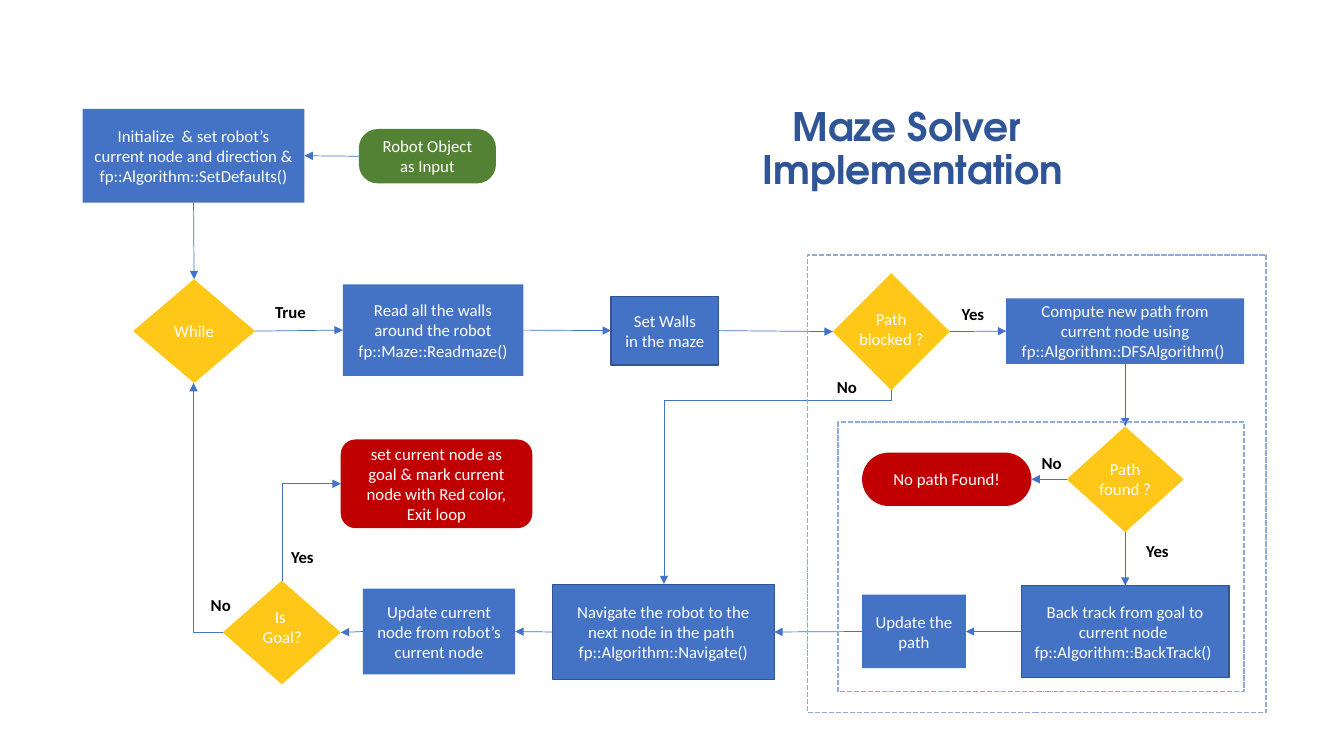
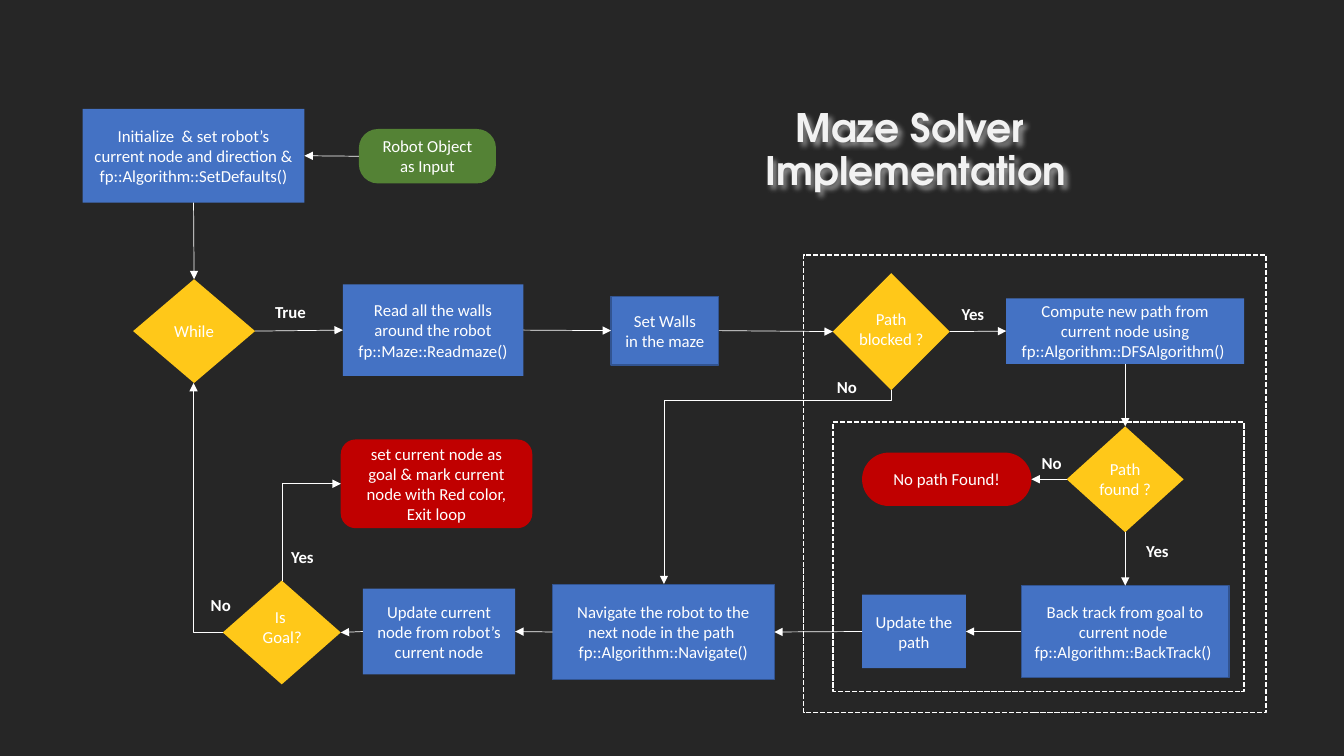
from dataclasses import dataclass
from typing import Any, Optional

from pptx import Presentation
from pptx.dml.color import RGBColor
from pptx.enum.dml import MSO_LINE
from pptx.enum.shapes import MSO_CONNECTOR, MSO_SHAPE
from pptx.enum.text import MSO_ANCHOR, MSO_AUTO_SIZE, PP_ALIGN
from pptx.oxml import parse_xml
from pptx.oxml.ns import nsdecls, qn
from pptx.shapes.autoshape import Shape
from pptx.slide import Slide
from pptx.util import Emu, Pt
from lxml.etree import SubElement

UNIT = 9144
TOP, LEFT, BASE, RIGHT = range(4)
RECT = MSO_SHAPE.RECTANGLE
ROUND = MSO_SHAPE.ROUNDED_RECTANGLE
GEM = MSO_SHAPE.DIAMOND
Box = tuple[int, int, int, int]


@dataclass(frozen=True)
class Theme:
    blue: str = "4472C4"
    navy: str = "325491"
    gold: str = "FFC819"
    green: str = "548235"
    red: str = "C00000"
    white: str = "FFFFFF"
    shade: str = "BFBFBF"
    face: str = "Calibri"
    head: str = "TeX Gyre Adventor"
    body: int = 12
    large: int = 28
    thin: float = 0.5
    edge: float = 1
    dash: float = 1.25


@dataclass(frozen=True)
class Look:
    back: str
    title: str
    arrow: str
    frame: str
    label: str
    spot: tuple[int, int]
    inner: int
    outer: int
    shadow: bool


@dataclass(frozen=True)
class Node:
    name: str
    kind: Any
    box: Box
    fill: str
    lines: tuple[str, ...]
    edge: bool = False
    curve: Optional[float] = None
    inset: Optional[Box] = None


@dataclass(frozen=True)
class Bend:
    preset: str
    box: Box
    turn: int
    flip: bool = False
    bias: Optional[int] = None


@dataclass(frozen=True)
class Link:
    start: str
    out: int
    stop: str
    into: int
    bend: Optional[Bend] = None


@dataclass(frozen=True)
class Label:
    text: str
    left: int
    top: int
    align: Any = PP_ALIGN.CENTER


THEME = Theme()
LOOKS = (
    Look("FFFFFF", "2F5597", THEME.blue, "8FAADC", "000000", (663, 102), 831, 801, False),
    Look("262626", "F2F2F2", THEME.white, THEME.white, THEME.white, (666, 103), 826, 797, True),
)
TITLE = ("Maze Solver ", "Implementation")

NODES = (
    Node("input", ROUND, (356, 128, 136, 54), THEME.green, ("Robot Object as Input",), curve=0.35),
    Node("init", RECT, (82, 108, 220, 93), THEME.blue,
         ("Initialize  & set robot’s current node and direction &", "fp::Algorithm::SetDefaults()")),
    Node("while", GEM, (132, 277, 121, 103), THEME.gold, ("While",)),
    Node("read", RECT, (340, 282, 179, 91), THEME.blue,
         ("Read all the walls around the robot", "fp::Maze::Readmaze()")),
    Node("walls", RECT, (606, 294, 107, 68), THEME.blue, ("Set Walls", "in the maze"), edge=True),
    Node("blocked", GEM, (826, 271, 116, 116), THEME.gold, ("Path blocked ?",), inset=(842, 301, 84, 47)),
    Node("compute", RECT, (998, 296, 236, 65), THEME.blue,
         ("Compute new path from current node using", "fp::Algorithm::DFSAlgorithm() ")),
    Node("move", RECT, (548, 580, 220, 94), THEME.blue,
         ("Navigate the robot to the next node in the path ", "fp::Algorithm::Navigate()"), edge=True),
    Node("back", RECT, (1013, 581, 206, 91), THEME.blue,
         ("Back track from goal to current node ", "fp::Algorithm::BackTrack() "), edge=True),
    Node("path", RECT, (855, 590, 103, 73), THEME.blue, ("Update the path",)),
    Node("none", ROUND, (855, 449, 168, 53), THEME.red, ("No path Found!",), curve=0.5),
    Node("update", RECT, (360, 584, 151, 85), THEME.blue,
         ("Update current node from robot’s current node",)),
    Node("goal", GEM, (221, 576, 117, 103), THEME.gold, ("Is ", "Goal?"), inset=(238, 597, 84, 50)),
    Node("exit", ROUND, (338, 436, 190, 88), THEME.red,
         ("set current node as goal & mark current node with Red color, Exit loop",)),
    Node("found", GEM, (1058, 423, 116, 105), THEME.gold, ("Path found ?",), inset=(1074, 450, 84, 42)),
)

LINKS = (
    Link("input", LEFT, "init", RIGHT),
    Link("init", BASE, "while", TOP),
    Link("while", RIGHT, "read", LEFT),
    Link("read", RIGHT, "walls", LEFT),
    Link("walls", RIGHT, "blocked", LEFT),
    Link("blocked", RIGHT, "compute", LEFT),
    Link("compute", BASE, "found", TOP),
    Link("found", LEFT, "none", RIGHT),
    Link("found", BASE, "back", TOP),
    Link("back", LEFT, "path", RIGHT),
    Link("path", LEFT, "move", RIGHT),
    Link("move", LEFT, "update", RIGHT),
    Link("update", LEFT, "goal", RIGHT),
    Link("goal", LEFT, "while", BASE, Bend("bentConnector2", (192, 380, 29, 247), 180)),
    Link("goal", TOP, "exit", LEFT, Bend("bentConnector2", (261, 499, 96, 58), 90, flip=True)),
    Link("blocked", BASE, "move", TOP, Bend("bentConnector3", (675, 370, 193, 226), 90, bias=5800)),
)

LABELS = (
    Label("True", 263, 294, PP_ALIGN.LEFT),
    Label("Yes", 938, 296),
    Label("Yes", 1121, 532),
    Label("Yes", 273, 537),
    Label("No", 192, 585),
    Label("No", 1016, 444),
    Label("No", 813, 369),
)


def scale(box: tuple[int, ...]) -> list[Emu]:
    return [Emu(n * UNIT) for n in box]


def apply(item: Any, form: dict[str, Any]) -> None:
    for key, value in form.items():
        setattr(item, key, value)


def place(item: Any, box: Box) -> None:
    apply(item, dict(zip(("left", "top", "width", "height"), scale(box))))


def ink(font: Any, tint: str, size: int = THEME.body, face: str = THEME.face, bold: bool = False) -> None:
    apply(font, {"name": face, "size": Pt(size), "bold": bold})
    font.color.rgb = RGBColor.from_string(tint)


def stroke(line: Any, tint: str, width: float) -> None:
    line.color.rgb = RGBColor.from_string(tint)
    line.width = Pt(width)


def write(shape: Shape, lines: tuple[str, ...], tint: str, align: Any = PP_ALIGN.CENTER,
          bold: bool = False, **form: Any) -> None:
    frame = shape.text_frame
    apply(frame, {"word_wrap": True, **form})
    for i, text in enumerate(lines):
        para = frame.paragraphs[0] if i == 0 else frame.add_paragraph()
        para.alignment = align
        run = para.add_run()
        run.text = text
        ink(run.font, tint, bold=bold)


def note(shapes: Any, box: Box, lines: tuple[str, ...], tint: str, **form: Any) -> None:
    write(shapes.add_textbox(*scale(box)), lines, tint,
          vertical_anchor=MSO_ANCHOR.TOP, auto_size=MSO_AUTO_SIZE.SHAPE_TO_FIT_TEXT, **form)


def draw(slide: Slide, node: Node) -> Shape:
    shapes = slide.shapes.add_group_shape().shapes if node.inset else slide.shapes
    shape = shapes.add_shape(node.kind, *scale(node.box))
    shape.shadow.inherit = False
    shape.fill.solid()
    shape.fill.fore_color.rgb = RGBColor.from_string(node.fill)
    if node.curve is not None:
        shape.adjustments[0] = node.curve
    if node.edge:
        stroke(shape.line, THEME.navy, THEME.edge)
    else:
        shape.line.fill.background()
    if node.inset:
        note(shapes, node.inset, node.lines, THEME.white)
    else:
        form = {"margin_left": 0, "margin_right": 0} if node.kind == GEM else {}
        write(shape, node.lines, THEME.white, vertical_anchor=MSO_ANCHOR.MIDDLE, **form)
    return shape


def shape_bend(wire: Any, bend: Bend) -> None:
    place(wire, bend.box)
    props = wire._element.spPr
    frame = props.find(qn("a:xfrm"))
    flip = "1" if bend.flip else "0"
    for key, value in {"rot": str(bend.turn * 60000), "flipH": flip, "flipV": flip}.items():
        frame.set(key, value)
    geom = props.find(qn("a:prstGeom"))
    geom.set("prst", bend.preset)
    if bend.bias is not None:
        SubElement(geom.find(qn("a:avLst")), qn("a:gd"), name="adj1", fmla=f"val {bend.bias}")


def join(slide: Slide, link: Link, parts: dict[str, Shape], tint: str) -> None:
    kind = MSO_CONNECTOR.ELBOW if link.bend else MSO_CONNECTOR.STRAIGHT
    wire = slide.shapes.add_connector(kind, 0, 0, 0, 0)
    wire.begin_connect(parts[link.start], link.out)
    wire.end_connect(parts[link.stop], link.into)
    if link.bend:
        shape_bend(wire, link.bend)
    stroke(wire.line, tint, THEME.thin)
    props = wire._element.spPr
    SubElement(props.find(qn("a:ln")), qn("a:tailEnd"), type="triangle")
    SubElement(props, qn("a:effectLst"))


def fence(slide: Slide, box: Box, tint: str) -> None:
    shape = slide.shapes.add_shape(RECT, *scale(box))
    shape.shadow.inherit = False
    shape.fill.background()
    stroke(shape.line, tint, THEME.dash)
    shape.line.dash_style = MSO_LINE.SQUARE_DOT


def head(slide: Slide, look: Look) -> None:
    title = slide.shapes.title
    place(title, (*look.spot, 484, 107))
    frame = title.text_frame
    apply(frame, {"word_wrap": True, "vertical_anchor": MSO_ANCHOR.TOP, "auto_size": MSO_AUTO_SIZE.NONE})
    para = frame.paragraphs[0]
    apply(para, {"alignment": PP_ALIGN.CENTER, "line_spacing": 0.9})
    for i, text in enumerate(TITLE):
        if i:
            para.add_line_break()
        run = para.add_run()
        run.text = text
        ink(run.font, look.title, THEME.large, THEME.head, True)
    if look.shadow:
        title._element.spPr.append(parse_xml(
            f'<a:effectLst {nsdecls("a")}><a:outerShdw blurRad="50800" dist="38100" dir="2700000">'
            f'<a:srgbClr val="{THEME.shade}"><a:alpha val="70000"/></a:srgbClr>'
            '</a:outerShdw></a:effectLst>'))


def build(deck: Any, look: Look) -> None:
    slide = deck.slides.add_slide(deck.slide_layouts[5])
    slide.background.fill.solid()
    slide.background.fill.fore_color.rgb = RGBColor.from_string(look.back)
    head(slide, look)
    parts = {node.name: draw(slide, node) for node in NODES}
    for link in LINKS:
        join(slide, link, parts, look.arrow)
    fence(slide, (look.inner, 419, 1234 - look.inner, 267), look.frame)
    fence(slide, (look.outer, 253, 1256 - look.outer, 454), look.frame)
    for label in LABELS:
        note(slide.shapes, (label.left, label.top, 54, 30), (label.text,), look.label,
             align=label.align, bold=True)


def main() -> None:
    deck = Presentation()
    deck.slide_width, deck.slide_height = scale((1333, 750))
    for look in LOOKS:
        build(deck, look)
    deck.save("out.pptx")


if __name__ == "__main__":
    main()
